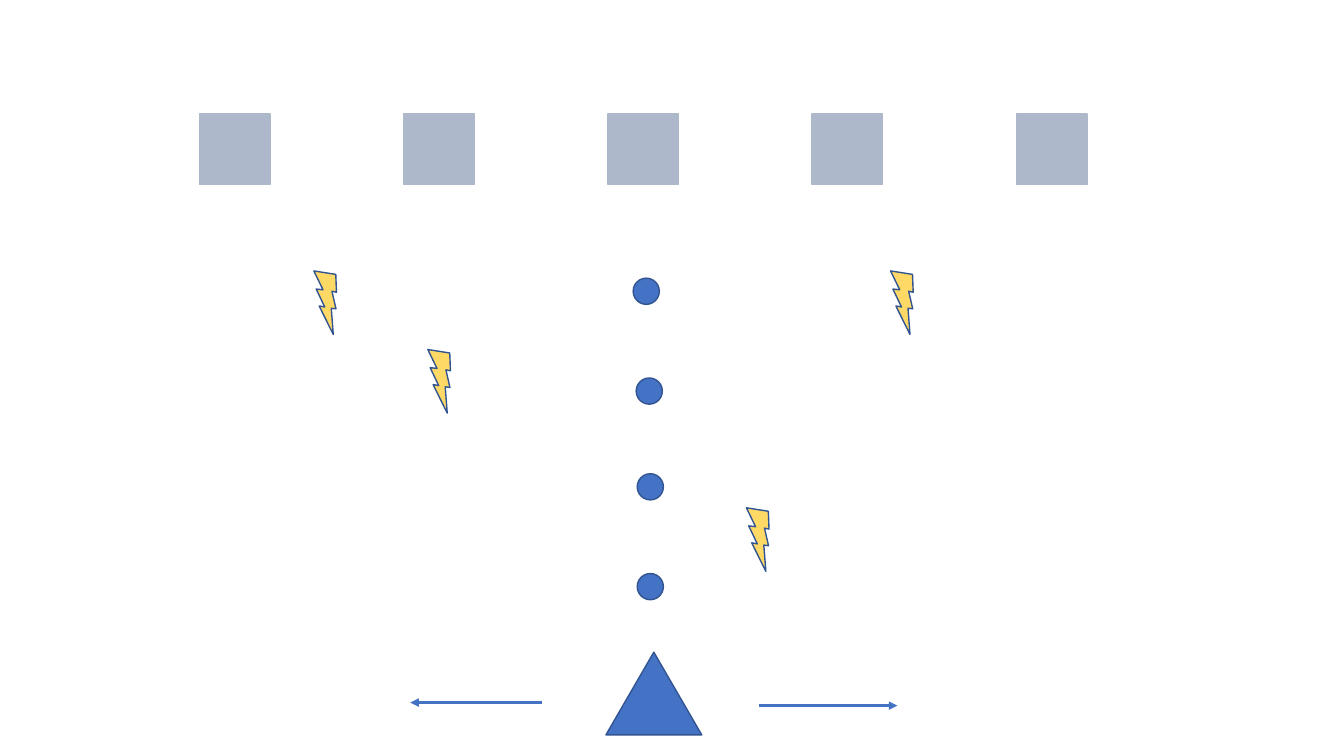
"""Build a slide sketching a shooter game: ship, bullets, enemies and lightning."""
from typing import NamedTuple

from lxml import etree
from pptx import Presentation
from pptx.dml.color import RGBColor
from pptx.enum.shapes import MSO_CONNECTOR, MSO_SHAPE
from pptx.oxml.ns import qn
from pptx.util import Inches, Pt

TRIANGLE = MSO_SHAPE.ISOSCELES_TRIANGLE
CIRCLE = MSO_SHAPE.OVAL
SQUARE = MSO_SHAPE.RECTANGLE
BOLT = MSO_SHAPE.LIGHTNING_BOLT
STRAIGHT = MSO_CONNECTOR.STRAIGHT

BLUE = RGBColor(0x44, 0x72, 0xC4)
DARK_BLUE = RGBColor(0x32, 0x54, 0x91)
GREY = RGBColor(0xAD, 0xB9, 0xCA)
YELLOW = RGBColor(0xFF, 0xD9, 0x66)


class Style(NamedTuple):
    kind: MSO_SHAPE
    width: float
    height: float
    fill: RGBColor
    line: RGBColor
    rotation: float = 0


class Position(NamedTuple):
    left: float
    top: float


class Arrow(NamedTuple):
    start: float
    end: float
    height: float


SHIP = Style(TRIANGLE, 0.95, 0.82, BLUE, DARK_BLUE)
BULLET = Style(CIRCLE, 0.26, 0.26, BLUE, DARK_BLUE)
ENEMY = Style(SQUARE, 0.7, 0.7, GREY, GREY)
LIGHTNING = Style(BOLT, 0.51, 0.51, YELLOW, DARK_BLUE, 33.7)

ENEMY_COUNT = 5
ENEMY_LEFT = 1.98
ENEMY_TOP = 1.13
ENEMY_STEP = 2.025

SHIP_POSITION = Position(6.01, 6.47)
BULLETS = [Position(6.28, 2.76), Position(6.31, 3.75), Position(6.32, 4.7), Position(6.32, 5.69)]
LIGHTNINGS = [Position(2.98, 2.71), Position(4.11, 3.49), Position(7.27, 5.06), Position(8.7, 2.71)]
ARROWS = [Arrow(7.53, 8.9, 7), Arrow(5.38, 4.07, 6.97)]


def draw_shape(slide, style: Style, position: Position) -> None:
    """Draw one shape of the given style."""
    shape = slide.shapes.add_shape(
        style.kind,
        Inches(position.left),
        Inches(position.top),
        Inches(style.width),
        Inches(style.height),
    )
    shape.shadow.inherit = False
    shape.rotation = style.rotation
    shape.fill.solid()
    shape.fill.fore_color.rgb = style.fill
    shape.line.color.rgb = style.line
    shape.line.width = Pt(1)


def draw_arrow(slide, arrow: Arrow) -> None:
    """Draw a horizontal arrow with its head at the end."""
    height = Inches(arrow.height)
    connector = slide.shapes.add_connector(
        STRAIGHT, Inches(arrow.start), height, Inches(arrow.end), height
    )
    connector.line.color.rgb = BLUE
    connector.line.width = Pt(2)
    etree.SubElement(connector.line._get_or_add_ln(), qn("a:tailEnd"), type="triangle")
    etree.SubElement(connector._element.spPr, qn("a:effectLst"))


def main() -> None:
    """Build and save the presentation."""
    presentation = Presentation()
    presentation.slide_width = Inches(13.33)
    presentation.slide_height = Inches(7.5)
    slide = presentation.slides.add_slide(presentation.slide_layouts[6])

    draw_shape(slide, SHIP, SHIP_POSITION)
    for index in range(ENEMY_COUNT):
        draw_shape(slide, ENEMY, Position(ENEMY_LEFT + index * ENEMY_STEP, ENEMY_TOP))
    for position in BULLETS:
        draw_shape(slide, BULLET, position)
    for position in LIGHTNINGS:
        draw_shape(slide, LIGHTNING, position)
    for arrow in ARROWS:
        draw_arrow(slide, arrow)
    presentation.save("out.pptx")


main()
